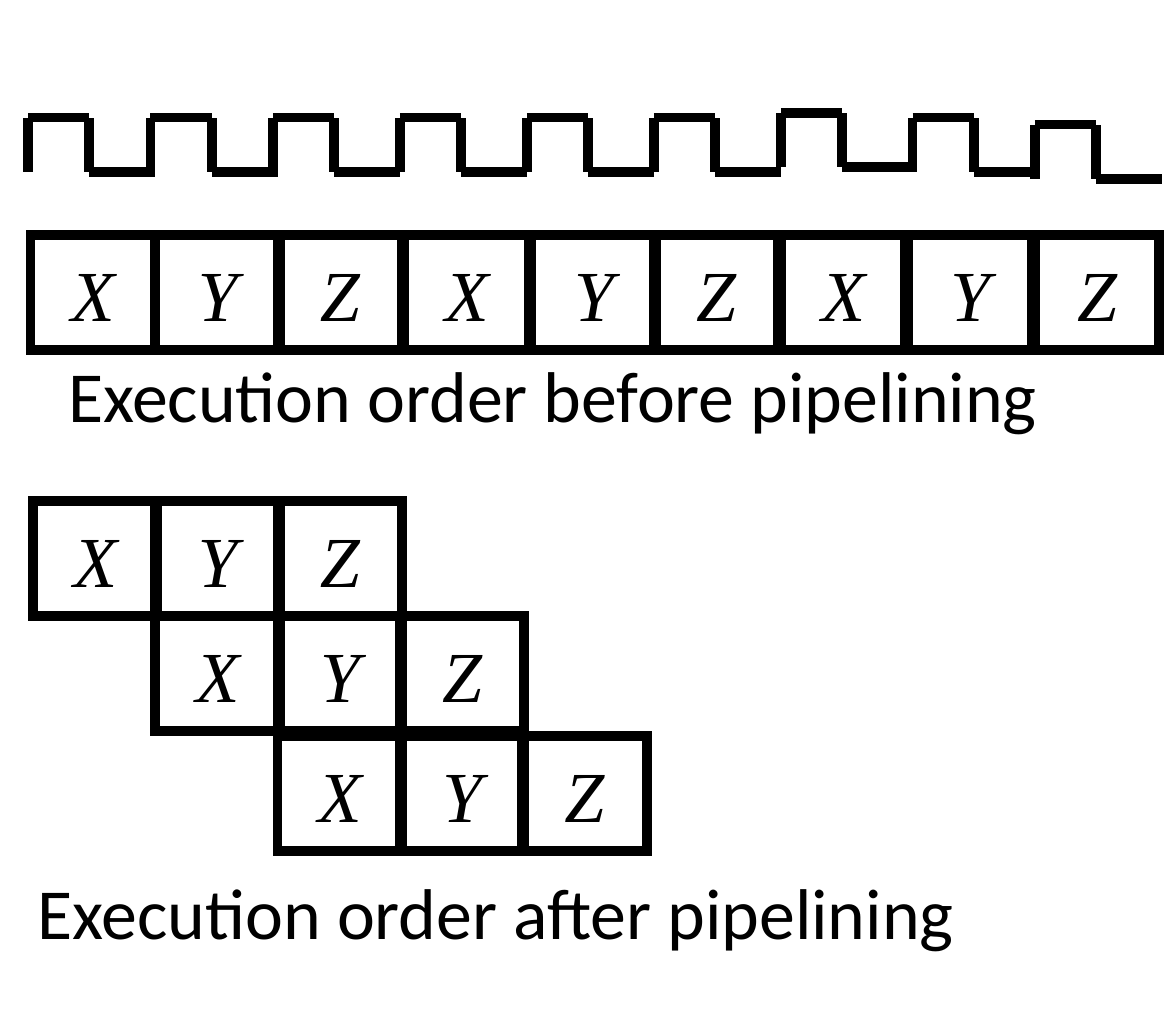
"""Builds a slide that shows execution order before and after pipelining."""
from lxml.etree import SubElement
from pptx import Presentation
from pptx.dml.color import RGBColor
from pptx.enum.shapes import MSO_CONNECTOR, MSO_SHAPE
from pptx.enum.text import MSO_ANCHOR, MSO_AUTO_SIZE, PP_ALIGN
from pptx.oxml.ns import qn
from pptx.util import Emu, Pt

BLACK = RGBColor(0, 0, 0)
STEPS = "XYZ"


def px(num):
    return Emu(num * 9144)


class Sketch:
    def __init__(self, slide):
        self.shapes = slide.shapes
        self.size = Pt(22)
        self.width = Pt(3)

    def letter(self, frame, text, font, italic=False):
        frame.margin_left = frame.margin_right = px(5)
        frame.margin_top = frame.margin_bottom = px(3)
        frame.word_wrap = True
        para = frame.paragraphs[0]
        run = para.add_run()
        run.text = text
        run.font.name = font
        run.font.size = self.size
        run.font.italic = italic
        run.font.color.rgb = BLACK
        return para

    def stroke(self, line):
        line.color.rgb = BLACK
        line.width = self.width

    def stage(self, name, left, top):
        box = self.shapes.add_shape(MSO_SHAPE.RECTANGLE, px(left), px(top), px(53), px(49))
        box.shadow.inherit = False
        box.fill.background()
        self.stroke(box.line)
        SubElement(box._element.spPr.find(qn("a:ln")), qn("a:miter"), lim="800000")
        box.text_frame.vertical_anchor = MSO_ANCHOR.MIDDLE
        para = self.letter(box.text_frame, name, "Times New Roman", True)
        para.alignment = PP_ALIGN.CENTER

    def edge(self, start, end):
        line = self.shapes.add_connector(
            MSO_CONNECTOR.STRAIGHT, *(px(num) for num in (*start, *end)))
        self.stroke(line.line)
        SubElement(line._element.spPr, qn("a:effectLst"))

    def pulse(self, left, top):
        mid, low = left + 26, top + 23
        self.edge((mid, low), (mid, top))
        self.edge((left, low), (left, top))
        self.edge((left, top), (mid, top))
        self.edge((mid, low), (left + 54, low))

    def label(self, text, left, top, width, indent=0):
        box = self.shapes.add_textbox(px(left), px(top), px(width), px(42))
        para = self.letter(box.text_frame, text, "Calibri")
        box.text_frame.auto_size = MSO_AUTO_SIZE.SHAPE_TO_FIT_TEXT
        if indent:
            para._p.get_or_add_pPr().set("marL", str(px(indent)))


def main():
    deck = Presentation()
    deck.slide_width, deck.slide_height = px(500), px(430)
    sketch = Sketch(deck.slides.add_slide(deck.slide_layouts[6]))

    lefts = (13, 66, 118, 172, 226, 278, 332, 386, 440)
    for name, left in zip(STEPS * 3, lefts):
        sketch.stage(name, left, 100)
    for row, top in enumerate((213, 262, 313)):
        for col, name in enumerate(STEPS):
            sketch.stage(name, 14 + 52 * (row + col), top)

    starts = (12, 64, 116, 170, 224, 278, 332, 388, 440)
    tops = (50, 50, 50, 50, 50, 50, 48, 50, 53)
    for left, top in zip(starts, tops):
        sketch.pulse(left, top)

    sketch.label("Execution order before pipelining", 24, 146, 454)
    sketch.label("Execution order after pipelining", -77, 366, 545, indent=88)
    deck.save("out.pptx")


if __name__ == "__main__":
    main()
